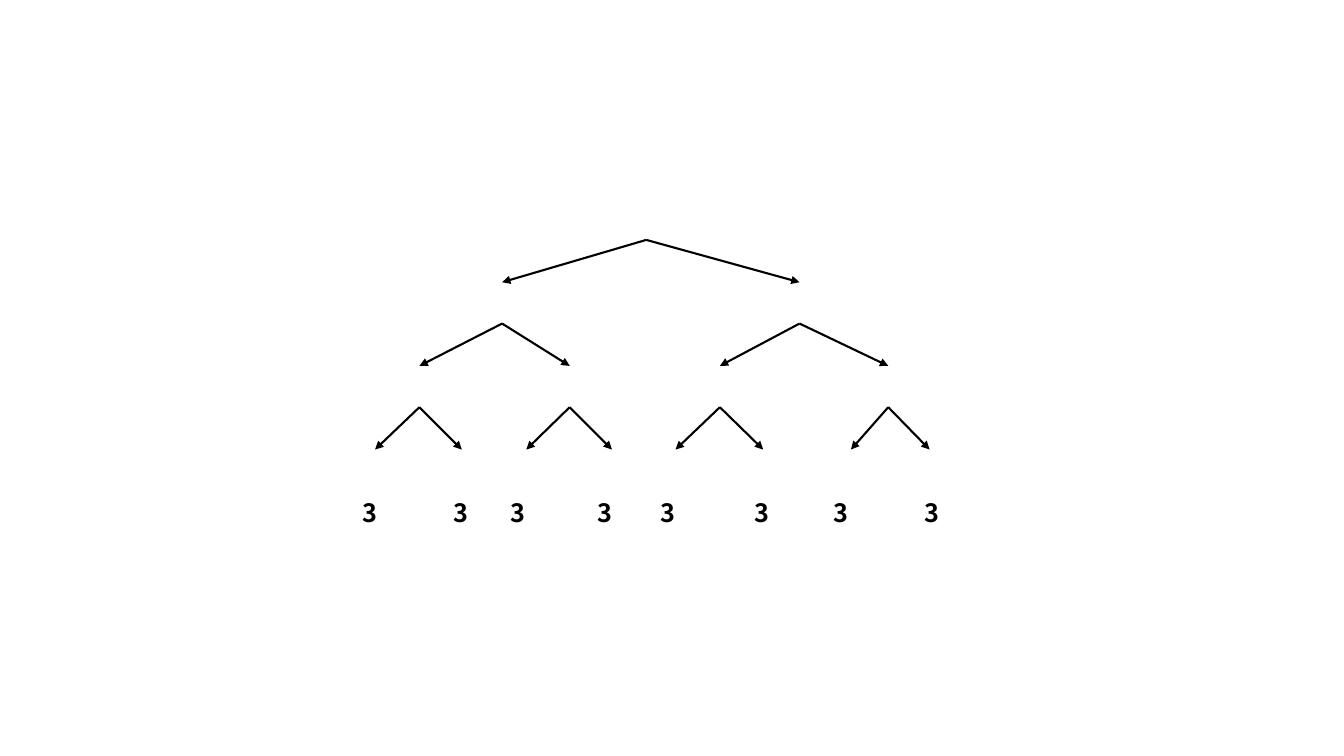
from pptx import Presentation
from pptx.dml.color import RGBColor
from pptx.enum.shapes import MSO_CONNECTOR
from pptx.enum.text import MSO_ANCHOR, MSO_AUTO_SIZE
from pptx.oxml.ns import qn
from pptx.util import Inches, Pt
from lxml.etree import SubElement

COLORS = {"ink": "000000"}
FONT = "Noto Sans CJK SC"
INK = RGBColor.from_string(COLORS["ink"])

presentation = Presentation()
presentation.slide_width = Inches(13.33)
presentation.slide_height = Inches(7.5)
slide = presentation.slides.add_slide(presentation.slide_layouts[6])

TREE_TOP = 2.38
LEVEL_GAP = 0.83
BRANCH_HEIGHT = 0.42
tree_levels = [
    [(6.41, 4.98, 7.93)],
    [(4.98, 4.16, 5.65), (7.93, 7.14, 8.81)],
    [(4.16, 3.72, 4.58), (5.65, 5.22, 6.07), (7.14, 6.7, 7.57), (8.81, 8.44, 9.22)],
]
for level, nodes in enumerate(tree_levels):
    top = TREE_TOP + level * LEVEL_GAP
    for parent_x, *child_xs in nodes:
        for child_x in child_xs:
            branch = slide.shapes.add_connector(
                MSO_CONNECTOR.STRAIGHT, Inches(parent_x), Inches(top),
                Inches(child_x), Inches(top + BRANCH_HEIGHT))
            branch.line.color.rgb = INK
            branch.line.width = Pt(1.5)
            SubElement(branch.line._get_or_add_ln(), qn("a:tailEnd"), type="triangle")
            SubElement(branch._element.spPr, qn("a:effectLst"))

leaf_lefts = [3.5, 4.4, 4.96, 5.83, 6.45, 7.38, 8.17, 9.07]
for left in leaf_lefts:
    leaf = slide.shapes.add_textbox(Inches(left), Inches(4.88), Inches(0.45), Inches(0.4))
    frame = leaf.text_frame
    frame.word_wrap = True
    frame.auto_size = MSO_AUTO_SIZE.NONE
    frame.vertical_anchor = MSO_ANCHOR.MIDDLE
    paragraph = frame.paragraphs[0]
    paragraph.text = "3"
    paragraph.font.name = FONT
    paragraph.font.size = Pt(18)
    paragraph.font.bold = True
    paragraph.font.color.rgb = INK

presentation.save("out.pptx")
